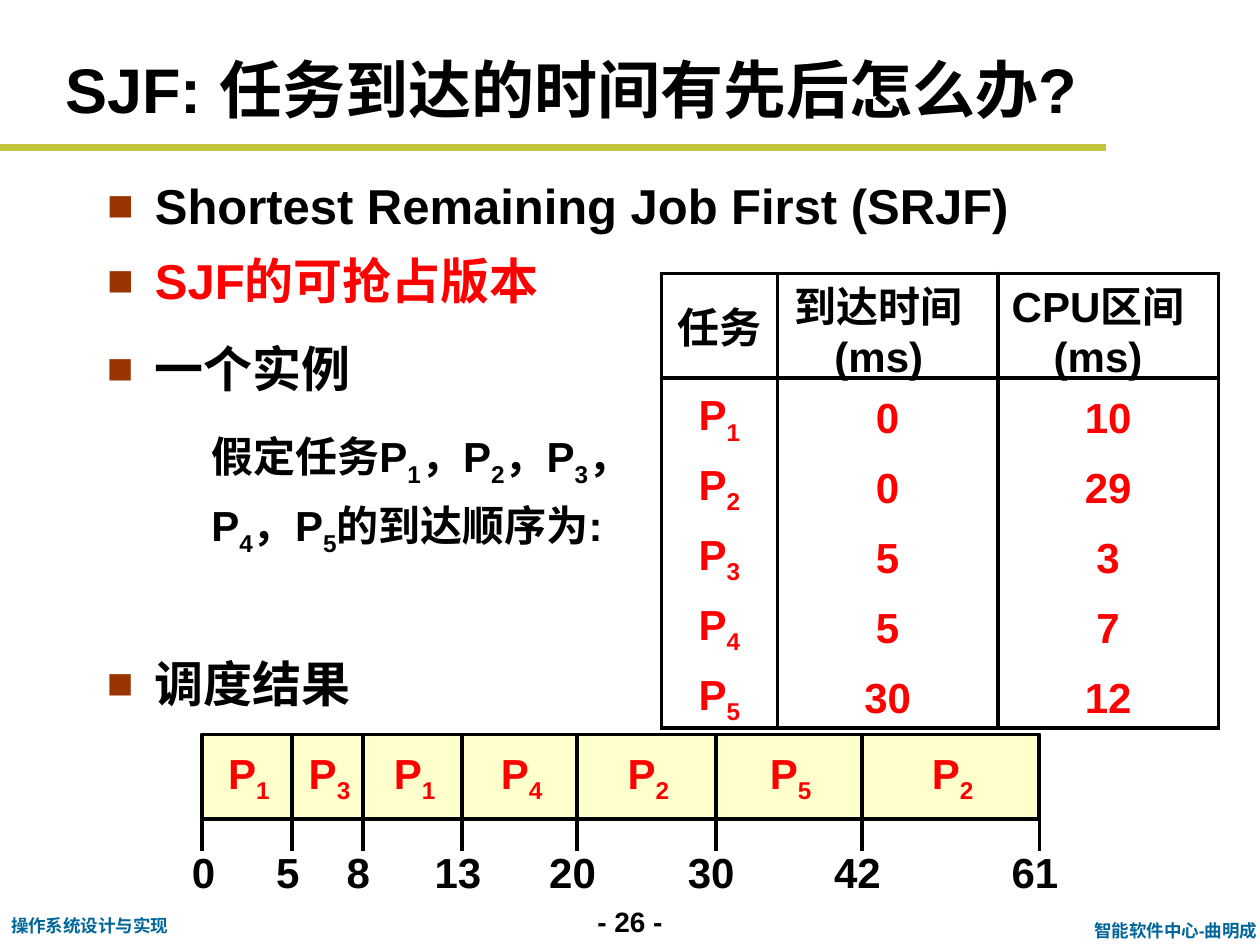
import pptx
import pptx.dml.color
import pptx.enum.shapes
import pptx.enum.text
import pptx.oxml
import pptx.oxml.ns
import pptx.util
from lxml import etree

Inches, Pt = pptx.util.Inches, pptx.util.Pt
ALIGN, ANCHOR = pptx.enum.text.PP_ALIGN, pptx.enum.text.MSO_ANCHOR

THEME = {
    "font": "Arial",
    "text": "000000", "accent": "FF0000", "footer": "006699",
    "bullet": "993300", "rule": "C1C43C", "bar": "FFFFCC",
    "title": 36, "list": 28, "label": 24, "page": 16, "small": 10,
    "line": 2.25, "thick": 4,
}

# An underscore makes the next character a subscript.
TITLE = "SJF: 任务到达的时间有先后怎么办?"
BODY = [("Shortest Remaining Job First (SRJF)", "text"), ("SJF的可抢占版本", "accent")]
EXAMPLE = "一个实例"
RESULT = "调度结果"
ASSUMPTION = "假定任务P_1，P_2，P_3，P_4，P_5的到达顺序为:"
PAGE = "- 26 -"
COURSE = "操作系统设计与实现"
AUTHOR = "智能软件中心-曲明成"

TASKS = [
    ("任务", "到达时间\n(ms)", "CPU区间(ms)"),
    ("P_1", "0", "10"),
    ("P_2", "0", "29"),
    ("P_3", "5", "3"),
    ("P_4", "5", "7"),
    ("P_5", "30", "12"),
]
TABLE_BOX = (5.25, 2.17, 4.42, 3.5)
COLUMN_WIDTHS = (0.92, 1.75, 1.75)
HEADER_HEIGHT = 0.83
HEADER_RIGHT_MARGINS = (0, 0.14, 0.16)
BODY_TOP_MARGIN = 0.1

SCHEDULE = ["P_1", "P_3", "P_1", "P_4", "P_2", "P_5", "P_2"]
TIMES = [0, 5, 8, 13, 20, 30, 42, 61]
EDGES = [1.6, 2.32, 2.88, 3.67, 4.58, 5.68, 6.84, 8.25]
BAR_TOP, BAR_HEIGHT, TICK = 5.83, 0.67, 0.25


def color(name):
    return pptx.dml.color.RGBColor.from_string(THEME[name])


def write(paragraph, text, size="label", fill="text", align=ALIGN.LEFT):
    """Fill a paragraph with styled runs, turning _x into a subscript x."""
    paragraph.alignment = align
    first, *rest = text.split("_")
    pieces = [(first, False)]
    for part in rest:
        pieces += [(part[0], True), (part[1:], False)]
    for piece, subscript in pieces:
        if not piece:
            continue
        run = paragraph.add_run()
        run.text = piece
        run.font.name = THEME["font"]
        run.font.size = Pt(THEME[size])
        run.font.bold = True
        run.font.color.rgb = color(fill)
        if subscript:
            run._r.get_or_add_rPr().set("baseline", "-25000")


def add_text(slide, box, text, wrap=False, anchor=ANCHOR.TOP, spacing=1.0, **style):
    frame = slide.shapes.add_textbox(*map(Inches, box)).text_frame
    frame.word_wrap = wrap
    frame.vertical_anchor = anchor
    frame.paragraphs[0].line_spacing = spacing
    write(frame.paragraphs[0], text, **style)


def write_bullets(shape, items, spacing):
    frame = shape.text_frame
    frame.word_wrap = True
    frame.auto_size = pptx.enum.text.MSO_AUTO_SIZE.NONE
    for index, (text, fill) in enumerate(items):
        paragraph = frame.add_paragraph() if index else frame.paragraphs[0]
        properties = paragraph._p.get_or_add_pPr()
        properties.set("marL", str(Inches(0.38)))
        properties.set("indent", str(-Inches(0.38)))
        for tag, child in (
            ("buClr", f'<a:srgbClr val="{THEME["bullet"]}"/>'),
            ("buSzPct", ""), ("buFont", ""), ("buChar", ""),
        ):
            element = pptx.oxml.parse_xml(
                f'<a:{tag} {pptx.oxml.ns.nsdecls("a")}>{child}</a:{tag}>')
            attributes = {"buSzPct": ("val", "90000"), "buFont": ("typeface", "Arial"),
                          "buChar": ("char", "■")}
            if tag in attributes:
                element.set(*attributes[tag])
            properties.append(element)
        paragraph.line_spacing = spacing
        paragraph.space_before = Pt(0.2 * THEME["list"] if index else 0)
        write(paragraph, text, size="list", fill=fill)


def add_line(slide, start, end, fill="text", width="line"):
    line = slide.shapes.add_connector(
        pptx.enum.shapes.MSO_CONNECTOR.STRAIGHT, *map(Inches, start + end))
    line.line.color.rgb = color(fill)
    line.line.width = Pt(THEME[width])
    etree.SubElement(line._element.spPr, pptx.oxml.ns.qn("a:effectLst"))


def set_borders(cell, visible):
    properties = cell._tc.get_or_add_tcPr()
    for side in "LRTB":
        paint = (f'<a:solidFill><a:srgbClr val="{THEME["text"]}"/></a:solidFill>'
                 if side in visible else "<a:noFill/>")
        properties.append(pptx.oxml.parse_xml(
            f'<a:ln{side} {pptx.oxml.ns.nsdecls("a")} w="{Pt(THEME["line"])}">'
            f"{paint}</a:ln{side}>"))


def add_task_table(slide):
    last = len(TASKS) - 1
    table = slide.shapes.add_table(
        len(TASKS), len(COLUMN_WIDTHS), *map(Inches, TABLE_BOX)).table
    table.first_row = table.horz_banding = False
    for column, width in zip(table.columns, COLUMN_WIDTHS):
        column.width = Inches(width)
    row_height = (TABLE_BOX[3] - HEADER_HEIGHT) / last
    for r, values in enumerate(TASKS):
        table.rows[r].height = Inches(row_height if r else HEADER_HEIGHT)
        borders = "LR" + ("T" if r < 2 else "") + ("B" if r in (0, last) else "")
        for c, value in enumerate(values):
            cell = table.cell(r, c)
            set_borders(cell, borders)
            cell.fill.background()
            cell.margin_left = cell.margin_bottom = 0
            cell.margin_right = Inches(0 if r else HEADER_RIGHT_MARGINS[c])
            cell.margin_top = Inches(BODY_TOP_MARGIN if r else 0)
            cell.vertical_anchor = ANCHOR.MIDDLE
            for index, text in enumerate(value.split("\n")):
                frame = cell.text_frame
                paragraph = frame.add_paragraph() if index else frame.paragraphs[0]
                write(paragraph, text, fill="accent" if r else "text", align=ALIGN.CENTER)


def add_schedule(slide):
    bar = slide.shapes.add_shape(
        pptx.enum.shapes.MSO_SHAPE.RECTANGLE, Inches(EDGES[0]), Inches(BAR_TOP),
        Inches(EDGES[-1] - EDGES[0]), Inches(BAR_HEIGHT))
    bar.shadow.inherit = False
    bar.fill.solid()
    bar.fill.fore_color.rgb = color("bar")
    bar.line.color.rgb = color("text")
    bar.line.width = Pt(THEME["line"])
    centered = {"anchor": ANCHOR.MIDDLE, "align": ALIGN.CENTER}
    for task, left, right in zip(SCHEDULE, EDGES, EDGES[1:]):
        add_text(slide, ((left + right) / 2 - 0.26, 5.91, 0.55, 0.5), task,
                 fill="accent", **centered)
    bar_bottom = BAR_TOP + BAR_HEIGHT
    for x in EDGES[1:-1]:
        add_line(slide, (x, BAR_TOP), (x, bar_bottom))
    for time, x in zip(TIMES, EDGES):
        add_line(slide, (x, bar_bottom), (x, bar_bottom + TICK))
        center = x - 0.04 if time else x + 0.01
        add_text(slide, (center - 0.28, 6.67, 0.57, 0.5), str(time), **centered)


def main():
    presentation = pptx.Presentation()
    presentation.slide_width, presentation.slide_height = Inches(10), Inches(7.5)
    slide = presentation.slides.add_slide(presentation.slide_layouts[1])
    title, body = slide.shapes.title, slide.placeholders[1]
    for shape, box in ((title, (0.42, 0.33, 9.58, 0.74)), (body, (0.75, 1.3, 8.66, 0.95))):
        shape.left, shape.top, shape.width, shape.height = map(Inches, box)

    title.text_frame.vertical_anchor = ANCHOR.MIDDLE
    title.text_frame.auto_size = pptx.enum.text.MSO_AUTO_SIZE.NONE
    write(title.text_frame.paragraphs[0], TITLE, size="title")
    write_bullets(body, BODY, 1.1)
    for text, box in ((EXAMPLE, (0.75, 2.5, 8.66, 0.95)), (RESULT, (0.75, 5, 4, 0.95))):
        write_bullets(slide.shapes.add_textbox(*map(Inches, box)), [(text, "text")], 1.3)
    add_text(slide, (1.58, 3.28, 3.67, 1.06), ASSUMPTION, wrap=True, spacing=1.2)

    add_task_table(slide)
    add_schedule(slide)

    add_line(slide, (0, 1.17), (8.78, 1.17), fill="rule", width="thick")
    add_text(slide, (4.5, 7.13, 1, 0.37), PAGE, size="page", align=ALIGN.CENTER)
    add_text(slide, (8.54, 7.25, 1.58, 0.27), AUTHOR, size="small", fill="footer",
             align=ALIGN.CENTER)
    add_text(slide, (-0.01, 7.21, 1.46, 0.27), COURSE, size="small", fill="footer")
    presentation.save("out.pptx")


if __name__ == "__main__":
    main()
